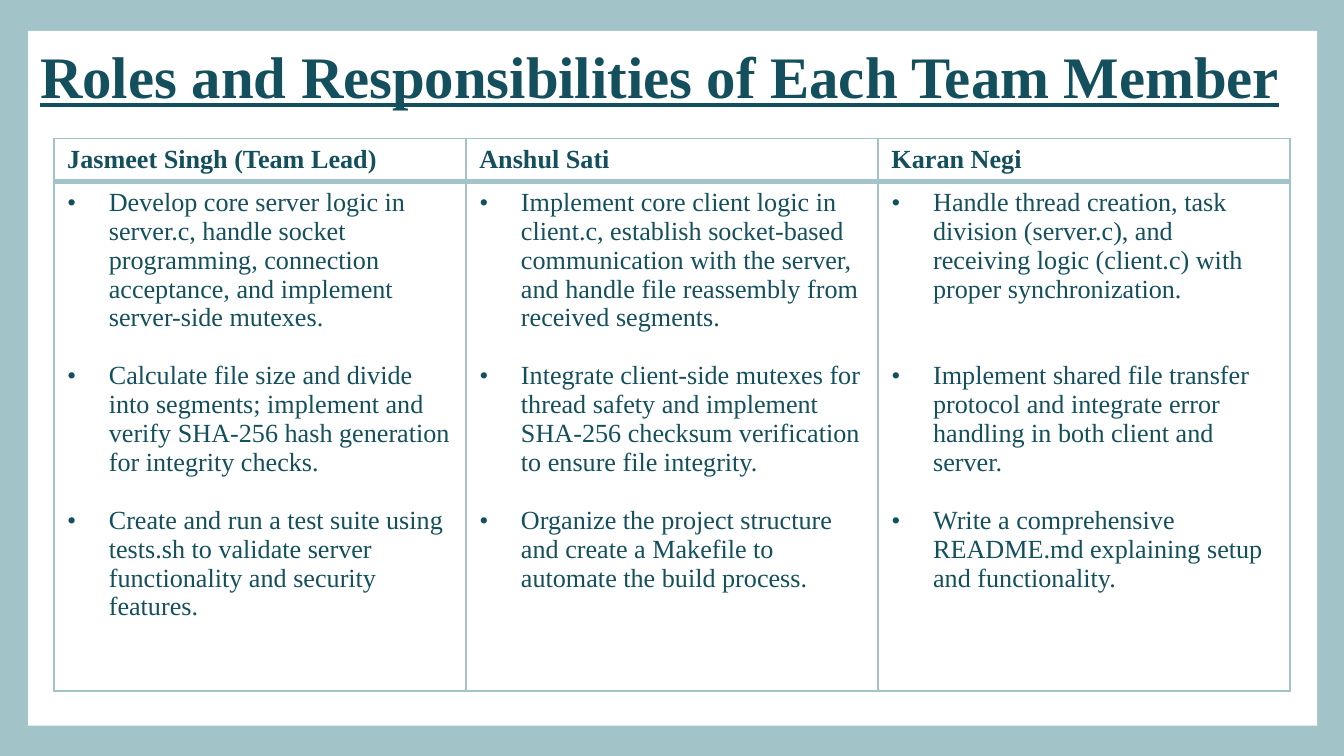
import pptx
import pptx.util
import pptx.dml.color
import pptx.enum.shapes
import pptx.enum.text
import pptx.oxml
import pptx.oxml.ns

Inches, Pt = pptx.util.Inches, pptx.util.Pt
COLORS = {"frame": "A2C4C9", "panel": "FFFFFF", "text": "134F5C"}
FONT = "Times New Roman"
LINE = 15.5  # height of one 14 pt line, in points
TITLE = "Roles and Responsibilities of Each Team Member"

# Each member: name, then (task, lines of space after it)
MEMBERS = [
    ("Jasmeet Singh (Team Lead)", [
        ("Develop core server logic in server.c, handle socket programming, "
         "connection acceptance, and implement server-side mutexes.", 1),
        ("Calculate file size and divide into segments; implement and verify "
         "SHA-256 hash generation for integrity checks.", 1),
        ("Create and run a test suite using tests.sh to validate server "
         "functionality and security features.", 0),
    ]),
    ("Anshul Sati", [
        ("Implement core client logic in client.c, establish socket-based "
         "communication with the server, and handle file reassembly from "
         "received segments.", 1),
        ("Integrate client-side mutexes for thread safety and implement "
         "SHA-256 checksum verification to ensure file integrity.", 1),
        ("Organize the project structure and create a Makefile to automate "
         "the build process.", 0),
    ]),
    ("Karan Negi", [
        ("Handle thread creation, task division (server.c), and receiving "
         "logic (client.c) with proper synchronization.", 2),
        ("Implement shared file transfer protocol and integrate error "
         "handling in both client and server.", 1),
        ("Write a comprehensive README.md explaining setup and "
         "functionality.", 0),
    ]),
]


def rgb(name):
    return pptx.dml.color.RGBColor.from_string(COLORS[name])


class SlideBuilder:
    def __init__(self, prs):
        self.s = prs.slides.add_slide(prs.slide_layouts[5])

    def paint(self, fill, color):
        fill.solid()
        fill.fore_color.rgb = rgb(color)

    def run(self, p, text, **formats):
        r = p.add_run()
        r.text = text
        r.font.color.rgb = rgb("text")
        for name, value in {"name": FONT, "size": Pt(14), **formats}.items():
            setattr(r.font, name, value)

    def panel(self, *box):
        rect = pptx.enum.shapes.MSO_SHAPE.RECTANGLE
        sp = self.s.shapes.add_shape(rect, *map(Inches, box))
        sp.shadow.inherit = False
        self.paint(sp.fill, "panel")
        sp.line.fill.background()
        # Keep the panel behind the title
        self.s.shapes.title._element.addprevious(sp._element)

    def title(self, text, *box):
        sp = self.s.shapes.title
        for name, value in zip(("left", "top", "width", "height"), box):
            setattr(sp, name, Inches(value))
        tf = sp.text_frame
        formats = {
            "word_wrap": True,
            "auto_size": pptx.enum.text.MSO_AUTO_SIZE.NONE,
            "vertical_anchor": pptx.enum.text.MSO_ANCHOR.BOTTOM,
        }
        for side in ("left", "top", "right", "bottom"):
            formats[f"margin_{side}"] = Inches(0.1)
        for name, value in formats.items():
            setattr(tf, name, value)
        p = tf.paragraphs[0]
        p.alignment = pptx.enum.text.PP_ALIGN.LEFT
        self.run(p, text, size=Pt(31.5), bold=True, underline=True)

    def bullet(self, p):
        pPr = p._p.get_or_add_pPr()
        pPr.set("marL", str(Inches(0.31)))
        pPr.set("indent", str(-Inches(0.31)))
        for tag, attrs in (("a:buFont", {"typeface": FONT}),
                           ("a:buChar", {"char": "•"})):
            pPr.append(pPr.makeelement(pptx.oxml.ns.qn(tag), attrs))

    def cell(self, cell, **widths):
        """Fill a cell and border it, 1 pt a side unless widths say more."""
        tcPr = cell._tc.get_or_add_tcPr()
        for side in "LRTB":
            tcPr.append(pptx.oxml.parse_xml(
                f'<a:ln{side} {pptx.oxml.ns.nsdecls("a")} w="{Pt(widths.get(side, 1))}">'
                f'<a:solidFill><a:srgbClr val="{COLORS["frame"]}"/></a:solidFill>'
                f'</a:ln{side}>'))
        self.paint(cell.fill, "panel")

    def table(self, members, left, top, width, row_heights):
        table = self.s.shapes.add_table(
            len(row_heights), len(members), Inches(left), Inches(top),
            Inches(width), Inches(sum(row_heights))).table
        table.horz_banding = False
        for row, height in zip(table.rows, row_heights):
            row.height = Inches(height)
        for col, (member, tasks) in enumerate(members):
            head, body = table.cell(0, col), table.cell(1, col)
            self.cell(head, B=3)
            self.cell(body, T=3)
            self.run(head.text_frame.paragraphs[0], member, bold=True)
            tf = body.text_frame
            for i, (task, gap) in enumerate(tasks):
                p = tf.add_paragraph() if i else tf.paragraphs[0]
                p.space_after = Pt(gap * LINE)
                self.bullet(p)
                self.run(p, task, bold=False)


def main():
    prs = pptx.Presentation()
    prs.slide_width = Inches(10)
    prs.slide_height = prs.slide_width * 9 // 16
    slide = SlideBuilder(prs)
    slide.paint(slide.s.background.fill, "frame")
    slide.panel(0.21, 0.23, 9.59, 5.17)
    slide.title(TITLE, 0.2, 0.23, 9.6, 0.69)
    slide.table(MEMBERS, 0.4, 1.03, 9.2, (0.32, 3.79))
    prs.save("out.pptx")


if __name__ == "__main__":
    main()
